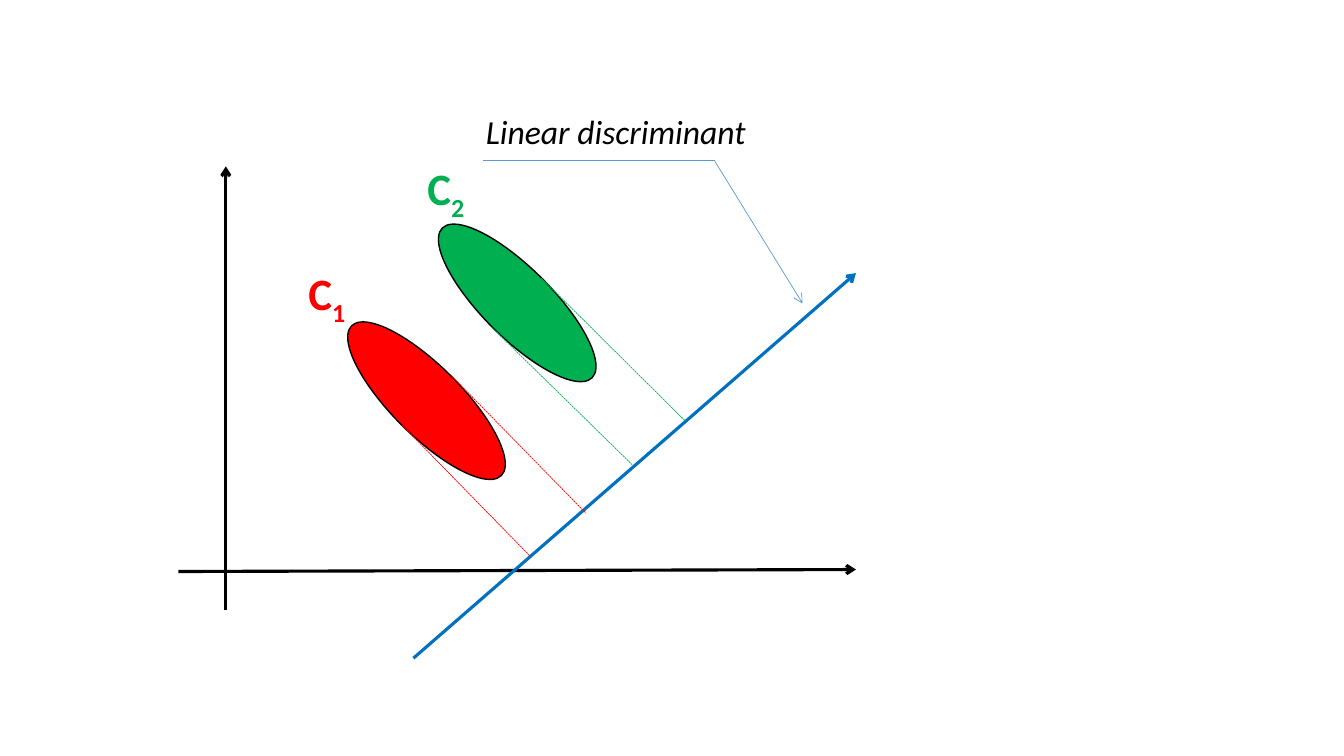
from typing import NamedTuple

from lxml import etree
from pptx import Presentation
from pptx.dml.color import RGBColor
from pptx.enum.dml import MSO_LINE
from pptx.enum.shapes import MSO_CONNECTOR, MSO_SHAPE
from pptx.enum.text import MSO_AUTO_SIZE
from pptx.oxml.ns import qn
from pptx.slide import Slide
from pptx.util import Emu, Pt

STRAIGHT = MSO_CONNECTOR.STRAIGHT
ELLIPSE = MSO_SHAPE.OVAL
SHORT_DASH = MSO_LINE.SQUARE_DOT
FIT_SHAPE = MSO_AUTO_SIZE.SHAPE_TO_FIT_TEXT

EMU_PER_PX = 9144  # 100 px to the inch
SLIDE_SIZE = (1333, 750)
CLUSTER_SIZE = (210, 69)
FONT = "Calibri"
COLORS = {
    "black": "000000",
    "class 1": "FF0000",
    "class 2": "00B050",
    "discriminant": "0070C0",
    "callout": "5B9BD5",
}


class Line(NamedTuple):
    start: tuple[int, int]
    end: tuple[int, int]
    color: str
    width: float = 0.5
    arrow: bool = False
    dashed: bool = False


class Cluster(NamedTuple):
    left: int
    top: int
    color: str


class Label(NamedTuple):
    box: tuple[int, int, int, int]
    text: str
    color: str
    size: int = 32
    subscript: str = ""
    bold: bool = True
    italic: bool = False


AXES = [
    Line((177, 567), (849, 565), "black", 2.25, arrow=True),
    Line((224, 605), (224, 165), "black", 2.25, arrow=True),
]
CLUSTERS = [Cluster(318, 363, "class 1"), Cluster(408, 266, "class 2")]
LABELS = [
    Label((296, 259, 76, 64), "C", "class 1", subscript="1"),
    Label((414, 155, 101, 64), "C", "class 2", subscript="2"),
    Label((472, 105, 315, 50), "Linear discriminant", "black", 24,
          bold=False, italic=True),
]
PROJECTIONS = [
    Line((410, 653), (849, 271), "discriminant", 2.25, arrow=True),
    Line((399, 422), (526, 552), "class 1", dashed=True),
    Line((448, 373), (581, 509), "class 1", dashed=True),
    Line((488, 325), (627, 461), "class 2", dashed=True),
    Line((537, 276), (680, 418), "class 2", dashed=True),
]
CALLOUT = [
    Line((709, 160), (796, 301), "callout", arrow=True),
    Line((709, 159), (479, 159), "callout"),
]


def px(value: int) -> Emu:
    return Emu(value * EMU_PER_PX)


def rgb(name: str) -> RGBColor:
    return RGBColor.from_string(COLORS[name])


def draw_line(slide: Slide, line: Line) -> None:
    ends = [px(value) for value in line.start + line.end]
    connector = slide.shapes.add_connector(STRAIGHT, *ends)
    connector.line.color.rgb = rgb(line.color)
    connector.line.width = Pt(line.width)
    if line.dashed:
        connector.line.dash_style = SHORT_DASH
    properties = connector._element.spPr
    if line.arrow:
        outline = properties.find(qn("a:ln"))
        etree.SubElement(outline, qn("a:tailEnd"), type="arrow")
    etree.SubElement(properties, qn("a:effectLst"))


def draw_cluster(slide: Slide, cluster: Cluster) -> None:
    box = [px(value) for value in (cluster.left, cluster.top, *CLUSTER_SIZE)]
    ellipse = slide.shapes.add_shape(ELLIPSE, *box)
    ellipse.rotation = 45
    ellipse.shadow.inherit = False
    ellipse.fill.solid()
    ellipse.fill.fore_color.rgb = rgb(cluster.color)
    ellipse.line.color.rgb = rgb("black")
    ellipse.line.width = Pt(1)


def draw_label(slide: Slide, label: Label) -> None:
    frame = slide.shapes.add_textbox(*map(px, label.box)).text_frame
    frame.word_wrap = True
    frame.auto_size = FIT_SHAPE
    paragraph = frame.paragraphs[0]
    paragraph.text = label.text
    if label.subscript:
        paragraph.add_run().text = label.subscript
    for run in paragraph.runs:
        run.font.name = FONT
        run.font.size = Pt(label.size)
        run.font.bold = label.bold
        run.font.italic = label.italic
        run.font.color.rgb = rgb(label.color)
    if label.subscript:
        paragraph.runs[-1].font._element.set("baseline", "-25000")


def main() -> None:
    presentation = Presentation()
    presentation.slide_width, presentation.slide_height = map(px, SLIDE_SIZE)
    slide = presentation.slides.add_slide(presentation.slide_layouts[6])
    for axis in AXES:
        draw_line(slide, axis)
    for cluster in CLUSTERS:
        draw_cluster(slide, cluster)
    for line in PROJECTIONS + CALLOUT:
        draw_line(slide, line)
    for label in LABELS:
        draw_label(slide, label)
    presentation.save("out.pptx")


if __name__ == "__main__":
    main()
